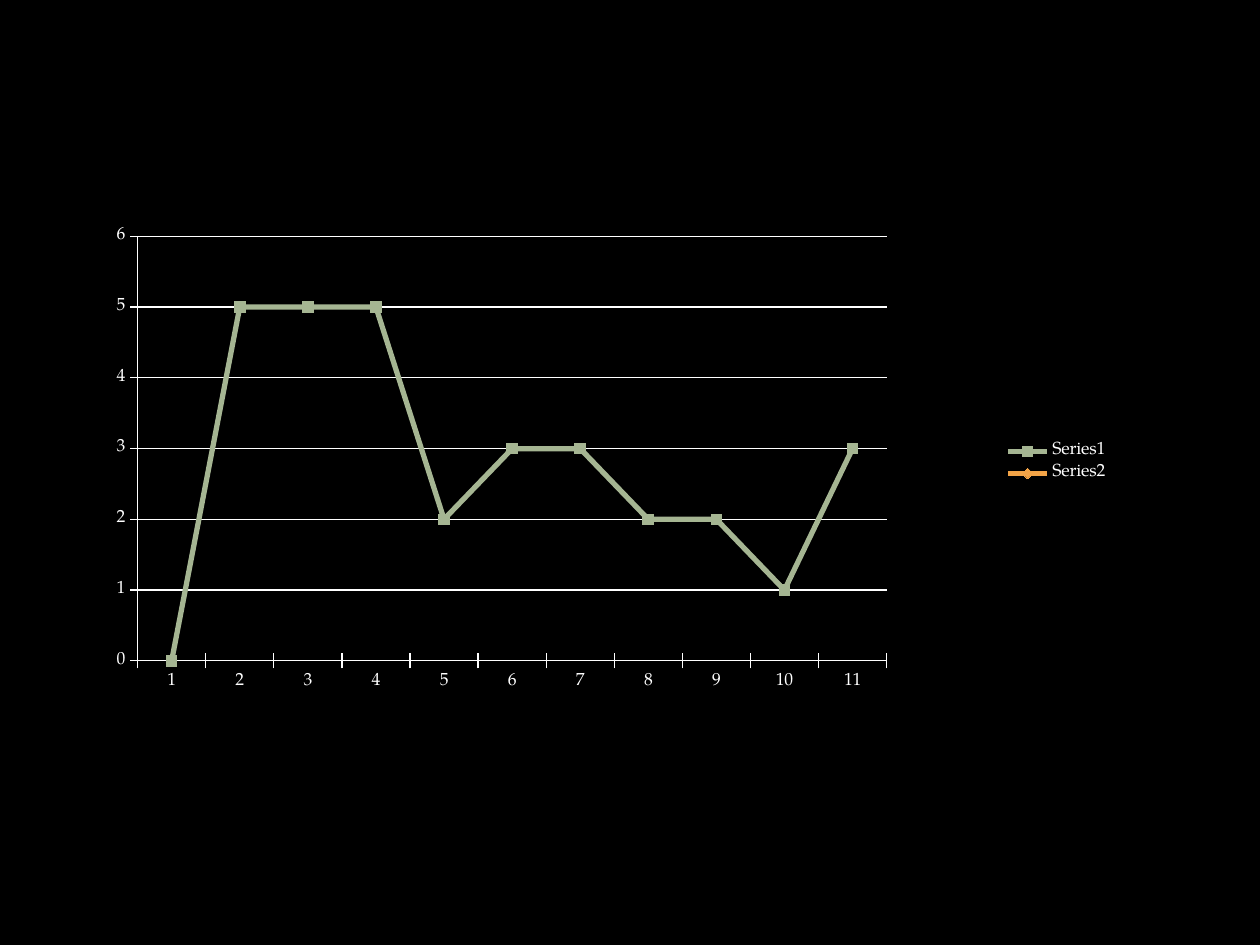
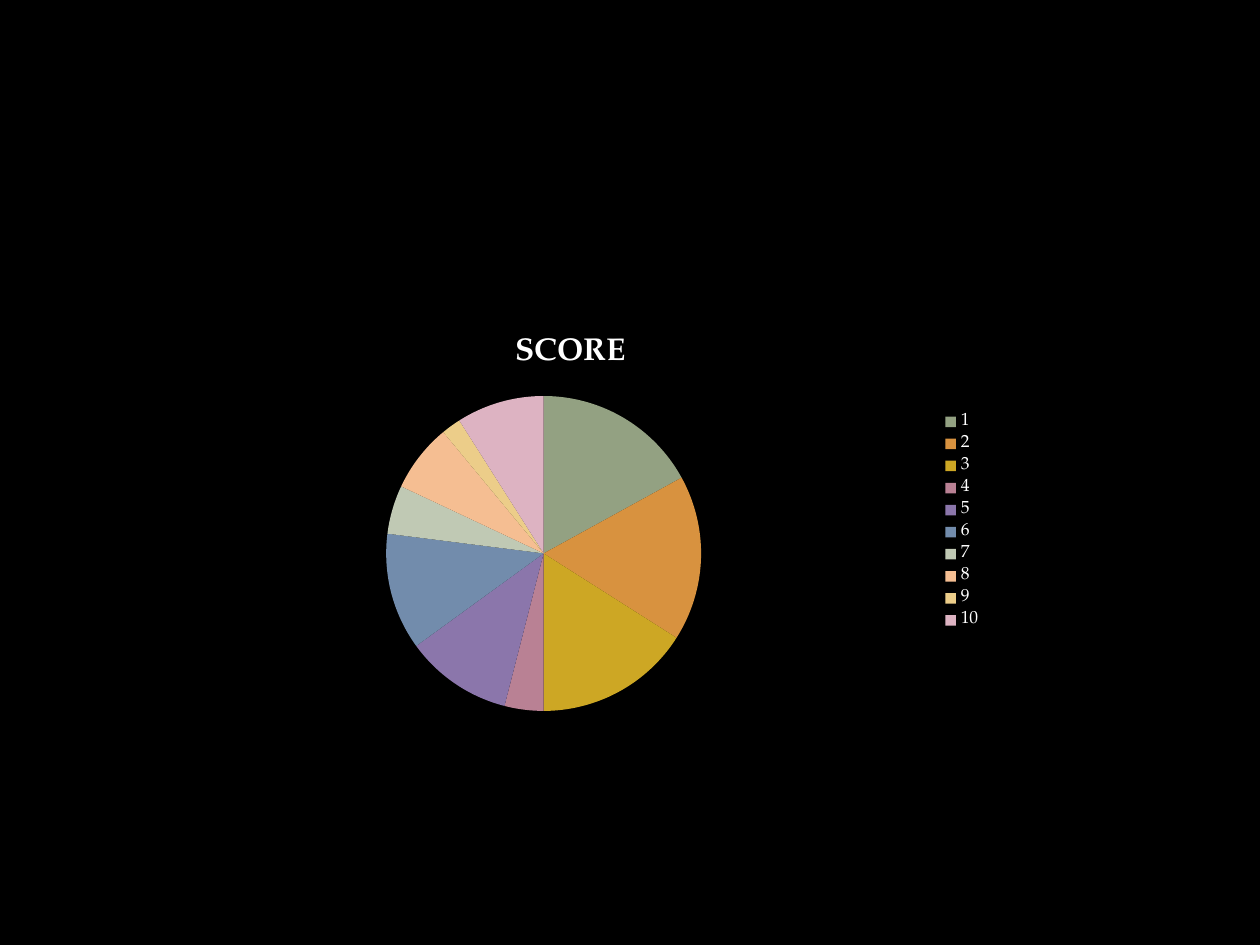
from lxml import etree
from pptx import Presentation
from pptx.chart.data import CategoryChartData
from pptx.dml.color import RGBColor
from pptx.enum.chart import (XL_CHART_TYPE, XL_LEGEND_POSITION, XL_MARKER_STYLE,
                             XL_TICK_MARK)
from pptx.oxml.ns import qn
from pptx.util import Inches, Pt

LINE_CHART = XL_CHART_TYPE.LINE_MARKERS
PIE_CHART = XL_CHART_TYPE.PIE
LEGEND_RIGHT = XL_LEGEND_POSITION.RIGHT
CROSS = XL_TICK_MARK.CROSS
SQUARE = XL_MARKER_STYLE.SQUARE
DIAMOND = XL_MARKER_STYLE.DIAMOND

WIDTH, HEIGHT = Inches(10), Inches(7.5)
FONT = "TeX Gyre Pagella"
COLOURS = {
    "background": "000000", "text": "FFFFFF",
    "sage": "A5B592", "orange": "F3A447",
}
SLICES = {
    "sage": "93A182", "orange": "D8923F", "gold": "CDA724", "rose": "B98194",
    "violet": "8B76AB", "blue": "728CAC", "pale sage": "C0C9B4",
    "pale orange": "F5BE92", "pale gold": "ECCD89", "pale rose": "DDB3C2",
}
LINE_VALUES = [0, 5, 5, 5, 2, 3, 3, 2, 2, 1, 3]
SCORES = [17, 17, 16, 4, 11, 12, 5, 7, 2, 9]


def paint(fill, colour):
    fill.solid()
    fill.fore_color.rgb = RGBColor.from_string(colour)


def style_font(font, size, bold=False):
    font.name = FONT
    font.size = Pt(size)
    font.bold = bold
    font.color.rgb = RGBColor.from_string(COLOURS["text"])


def style_line(line, colour, width):
    paint(line.fill, colour)
    line.width = Pt(width)


def add_page(deck):
    page = deck.slides.add_slide(deck.slide_layouts[6])
    paint(page.background.fill, COLOURS["background"])
    return page


def place_plot(chart, shares):
    plot_area = chart.plots[0]._element.getparent()
    for old in plot_area.findall(qn("c:layout")):
        plot_area.remove(old)
    layout = etree.Element(qn("c:layout"))
    manual = etree.SubElement(layout, qn("c:manualLayout"))
    settings = [("layoutTarget", "inner"), ("xMode", "edge"), ("yMode", "edge")]
    settings += zip("xywh", shares)
    for name, value in settings:
        etree.SubElement(manual, qn("c:" + name)).set("val", str(value))
    plot_area.insert(0, layout)


def add_chart(page, kind, box, series, plot_shares):
    data = CategoryChartData()
    count = len(next(iter(series.values())))
    data.categories = [str(number) for number in range(1, count + 1)]
    for name, values in series.items():
        data.add_series(name, values)
    left, top, width, height = box
    place = [int(WIDTH * left), int(HEIGHT * top),
             int(WIDTH * width), int(HEIGHT * height)]
    chart = page.shapes.add_chart(kind, *place, data).chart
    style_font(chart.font, 10)
    chart.has_title = False
    chart.has_legend = True
    chart.legend.position = LEGEND_RIGHT
    chart.legend.include_in_layout = False
    place_plot(chart, plot_shares)
    return chart


def line_page(page, box):
    series = {"Series1": LINE_VALUES, "Series2": [None] * len(LINE_VALUES)}
    chart = add_chart(page, LINE_CHART, box, series, (0.057, 0.075, 0.718, 0.798))
    for axis in (chart.category_axis, chart.value_axis):
        axis.major_tick_mark = CROSS
        style_line(axis.format.line, COLOURS["text"], 0.75)
    scale = chart.value_axis
    scale.minimum_scale, scale.maximum_scale, scale.major_unit = 0, 6, 1
    scale.has_major_gridlines = True
    style_line(scale.major_gridlines.format.line, COLOURS["text"], 0.75)
    looks = [("sage", SQUARE), ("orange", DIAMOND)]
    for line, (name, shape) in zip(chart.plots[0].series, looks):
        line.smooth = False
        style_line(line.format.line, COLOURS[name], 3)
        line.marker.style = shape
        line.marker.size = 6
        paint(line.marker.format.fill, COLOURS[name])
        style_line(line.marker.format.line, COLOURS[name], 0.75)


def pie_page(page, box):
    chart = add_chart(page, PIE_CHART, box, {"SCORE": SCORES},
                      (0.282, 0.198, 0.372, 0.76))
    chart.has_title = True
    chart.chart_title.include_in_layout = False
    span = chart.chart_title.text_frame.paragraphs[0].add_run()
    span.text = "SCORE"
    style_font(span.font, 18, True)
    plot = chart.plots[0]
    plot.vary_by_categories = True
    for index, colour in enumerate(SLICES.values()):
        piece = plot.series[0].points[index].format
        paint(piece.fill, colour)
        piece.line.fill.background()


def main():
    deck = Presentation()
    deck.slide_width, deck.slide_height = WIDTH, HEIGHT
    line_page(add_page(deck), (0.062, 0.208, 0.828, 0.563))
    pie_page(add_page(deck), (0.117, 0.332, 0.672, 0.439))
    deck.save("out.pptx")


if __name__ == "__main__":
    main()
